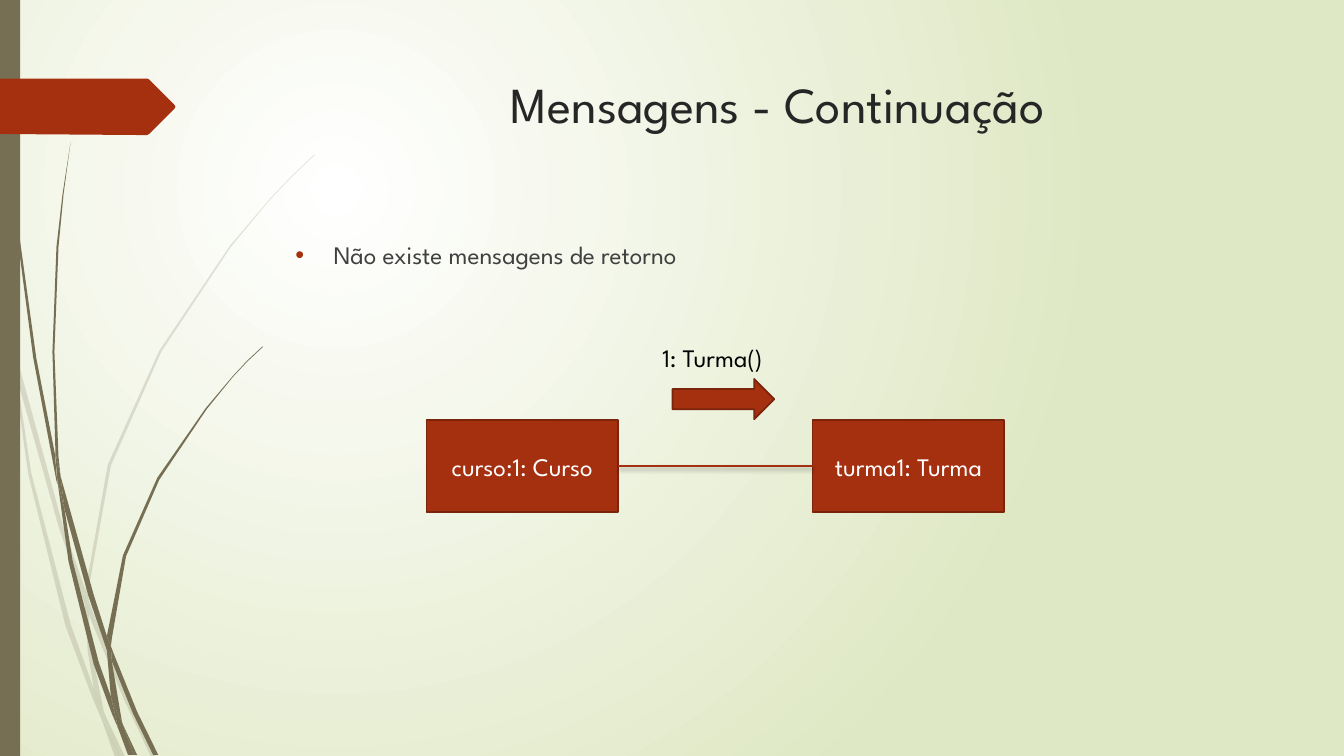
"""Build the slide "Mensagens - Continuação" with a collaboration diagram."""
from dataclasses import dataclass
from typing import Any

from pptx import Presentation
from pptx import util as u
from pptx.dml.color import RGBColor
from pptx.enum import shapes, text
from pptx.oxml import parse_xml
from pptx.oxml.ns import nsdecls

FONT = "League Spartan"
WHITE = RGBColor(0xFF, 0xFF, 0xFF)
BLACK = RGBColor(0x00, 0x00, 0x00)
SAGE = RGBColor(0xDF, 0xE8, 0xC4)
OLIVE = RGBColor(0x76, 0x6F, 0x54)
RUST = RGBColor(0xA5, 0x30, 0x10)
DARK_RUST = RGBColor(0x7A, 0x24, 0x0C)
TITLE_GREY = RGBColor(0x26, 0x26, 0x26)
BODY_GREY = RGBColor(0x40, 0x40, 0x40)

Points = list[tuple[int, int]]
UNIT = u.Inches(0.01)


@dataclass(frozen=True)
class Wisp:
    """Blades of grass in hundredths of an inch, with their opacity."""
    blades: list[Points]
    opacity: int


@dataclass(frozen=True)
class Block:
    """A filled shape of the diagram, in inches."""
    kind: shapes.MSO_SHAPE
    left: float
    top: float
    width: float
    height: float
    label: str = ""


PALE_WISP = Wisp([
    [(11, 350), (9, 322), (0, 282), (0, 299), (10, 344)],
    [(58, 522), (84, 599), (85, 586), (62, 520), (14, 345), (17, 376)],
    [(92, 607), (88, 596), (88, 610), (123, 694), (150, 751), (155, 751), (127, 692)],
    [(119, 751), (124, 751), (105, 711)],
    [(93, 683), (70, 619), (31, 469), (17, 376), (11, 350), (28, 470), (65, 621),
     (92, 693), (101, 714), (99, 707)],
    [(84, 599), (87, 646), (93, 683), (96, 692), (105, 711), (103, 706), (91, 646),
     (88, 610), (88, 608)],
    [(88, 584), (110, 462), (160, 349), (229, 245), (268, 198), (290, 175), (312, 154),
     (312, 153), (289, 175), (268, 197), (228, 244), (158, 348), (107, 461), (85, 584),
     (85, 586), (88, 596)],
    [(101, 714), (114, 751), (119, 751)],
    [(88, 608), (88, 610), (88, 596), (85, 586), (84, 599)],
    [(96, 692), (93, 683), (99, 707), (101, 714), (119, 751), (105, 711)],
], 20)

DARK_WISP = Wisp([
    [(7, 110), (17, 233), (33, 355), (56, 477), (57, 481), (55, 457), (55, 453), (36, 355),
     (19, 232), (8, 109), (5, 48), (4, 0), (3, 0), (4, 48)],
    [(88, 592), (106, 645), (106, 633), (106, 631), (93, 590), (60, 472), (64, 505)],
    [(113, 649), (110, 641), (111, 656), (132, 708), (152, 749), (157, 749), (136, 706)],
    [(110, 691), (98, 657), (72, 556), (64, 505), (57, 477), (68, 557), (93, 659),
     (111, 708), (117, 722), (116, 717)],
    [(60, 472), (58, 453), (54, 349), (58, 245), (63, 193), (70, 141), (62, 193),
     (56, 245), (52, 349), (55, 449)],
    [(133, 749), (136, 749), (122, 719)],
    [(57, 477), (64, 505), (60, 472), (55, 449), (55, 453)],
    [(111, 633), (125, 552), (158, 476), (205, 406), (231, 374), (245, 359), (261, 344),
     (260, 344), (245, 358), (231, 373), (204, 405), (156, 474), (122, 551), (106, 631),
     (110, 641)],
    [(117, 722), (127, 749), (131, 749)],
    [(106, 645), (110, 691), (116, 706), (122, 719), (121, 716), (111, 656), (109, 651)],
    [(106, 645), (109, 651), (111, 656), (110, 641), (106, 631), (106, 633)],
    [(116, 706), (110, 691), (116, 717), (117, 722), (130, 749), (133, 749), (122, 719)],
], 100)

TAB: Points = [(173, 108), (148, 133), (146, 134), (136, 134), (0, 133), (0, 78),
               (146, 78), (148, 79), (173, 104), (174, 106)]

CURSO = Block(shapes.MSO_SHAPE.RECTANGLE, 4.23, 4.17, 1.9, 0.91, "curso:1: Curso")
TURMA = Block(shapes.MSO_SHAPE.RECTANGLE, 8.06, 4.17, 1.9, 0.91, "turma1: Turma")
MESSAGE_ARROW = Block(shapes.MSO_SHAPE.RIGHT_ARROW, 6.67, 3.76, 1.01, 0.4)
SIDE_BAR = Block(shapes.MSO_SHAPE.RECTANGLE, 0, 0, 0.2, 7.5)


def place(sp: Any, left: float, top: float, width: float, height: float) -> None:
    """Move and size a shape in inches."""
    sp.left, sp.top = u.Inches(left), u.Inches(top)
    sp.width, sp.height = u.Inches(width), u.Inches(height)


def write(sp: Any, content: str, *, size: float = 18, color: RGBColor = WHITE,
          align: text.PP_ALIGN = text.PP_ALIGN.CENTER,
          anchor: text.MSO_ANCHOR = text.MSO_ANCHOR.MIDDLE, wrap: bool = True,
          fit: text.MSO_AUTO_SIZE = text.MSO_AUTO_SIZE.NONE) -> Any:
    """Put one formatted paragraph in a shape and return it."""
    tf = sp.text_frame
    tf.word_wrap, tf.auto_size, tf.vertical_anchor = wrap, fit, anchor
    p = tf.paragraphs[0]
    p.alignment = align
    r = p.add_run()
    r.text = content
    r.font.name, r.font.size, r.font.color.rgb = FONT, u.Pt(size), color
    return p


def paint(sp: Any, fill: RGBColor, line: RGBColor | None = None) -> None:
    """Give a shape a flat fill and an optional outline."""
    sp.shadow.inherit = False
    sp.fill.solid()
    sp.fill.fore_color.rgb = fill
    if line is None:
        sp.line.fill.background()
    else:
        sp.line.color.rgb, sp.line.width = line, u.Pt(1.25)


def add_outline(tree: Any, points: Points, fill: RGBColor, opacity: int = 100) -> None:
    """Draw a closed outline through the points."""
    builder = tree.build_freeform(*points[0], scale=UNIT)
    builder.add_line_segments(points[1:], close=True)
    sp = builder.convert_to_shape()
    paint(sp, fill)
    if opacity < 100:
        color = sp.element.xpath("./p:spPr/a:solidFill/a:srgbClr")[0]
        color.append(parse_xml(f'<a:alpha {nsdecls("a")} val="{opacity * 1000}"/>'))


def add_block(slide: Any, block: Block, fill: RGBColor, line: RGBColor | None = None) -> Any:
    """Draw a block with its label."""
    sp = slide.shapes.add_shape(block.kind, 0, 0, 0, 0)
    place(sp, block.left, block.top, block.width, block.height)
    paint(sp, fill, line)
    if block.label:
        write(sp, block.label)
    return sp


def add_text(slide: Any, left: float, top: float, width: float, height: float,
             content: str, **style: Any) -> Any:
    """Add a text box and return its paragraph."""
    sp = slide.shapes.add_textbox(0, 0, 0, 0)
    place(sp, left, top, width, height)
    return write(sp, content, align=text.PP_ALIGN.LEFT, anchor=text.MSO_ANCHOR.TOP, **style)


def paint_background(slide: Any) -> None:
    """Spread a round white glow over the sage background."""
    fill = slide.background.fill
    fill.gradient()
    for stop, color, position in zip(fill.gradient_stops, (WHITE, SAGE), (0, 1)):
        stop.color.rgb, stop.position = color, position
    lin = slide.element.xpath(".//p:bg//a:gradFill/a:lin")[0]
    lin.getparent().replace(lin, parse_xml(
        f'<a:path {nsdecls("a")} path="circle">'
        '<a:fillToRect l="50000" t="50000" r="100000" b="100000"/></a:path>'))


def add_link(slide: Any, start: Any, end: Any) -> None:
    """Join the right side of one block to the left side of another."""
    link = slide.shapes.add_connector(shapes.MSO_CONNECTOR.STRAIGHT, 0, 0, 0, 0)
    link.begin_connect(start, 3)
    link.end_connect(end, 1)
    link.line.color.rgb, link.line.width = RUST, u.Pt(1.75)
    link.element.spPr.append(parse_xml(
        f'<a:effectLst {nsdecls("a")}><a:outerShdw blurRad="{u.Pt(3)}" dist="{u.Pt(2)}" '
        'dir="5400000" rotWithShape="0"><a:srgbClr val="000000"><a:alpha val="25000"/>'
        '</a:srgbClr></a:outerShdw></a:effectLst>'))


def main() -> None:
    """Build and save the slide."""
    prs = Presentation()
    prs.slide_width, prs.slide_height = u.Inches(13.33), u.Inches(7.5)
    slide = prs.slides.add_slide(prs.slide_layouts[5])
    paint_background(slide)
    for wisp in (PALE_WISP, DARK_WISP):
        group = slide.shapes.add_group_shape()
        for blade in wisp.blades:
            add_outline(group.shapes, blade, OLIVE, wisp.opacity)
    add_block(slide, SIDE_BAR, OLIVE)
    add_outline(slide.shapes, TAB, RUST)

    title = slide.shapes.title
    place(title, 2.84, 0.68, 9.75, 1.4)
    write(title, "Mensagens - Continuação", size=36, color=TITLE_GREY,
          anchor=text.MSO_ANCHOR.TOP)

    p = add_text(slide, 2.83, 2.33, 9.75, 4.13, "Não existe mensagens de retorno",
                 color=BODY_GREY)
    p.space_before = u.Pt(10)
    pPr = p._p.get_or_add_pPr()
    pPr.set("marL", str(u.Inches(0.38)))
    pPr.set("indent", str(-u.Inches(0.38)))
    for bullet in (f'<a:buClr {nsdecls("a")}><a:srgbClr val="{RUST}"/></a:buClr>',
                   f'<a:buFont {nsdecls("a")} typeface="Arial"/>',
                   f'<a:buChar {nsdecls("a")} char="•"/>'):
        pPr.append(parse_xml(bullet))

    curso, turma = (add_block(slide, block, RUST, DARK_RUST) for block in (CURSO, TURMA))
    add_link(slide, curso, turma)
    add_block(slide, MESSAGE_ARROW, RUST, DARK_RUST)
    add_text(slide, 6.47, 3.35, 1.41, 0.4, "1: Turma()", color=BLACK, wrap=False,
             fit=text.MSO_AUTO_SIZE.SHAPE_TO_FIT_TEXT)
    prs.save("out.pptx")


if __name__ == "__main__":
    main()
